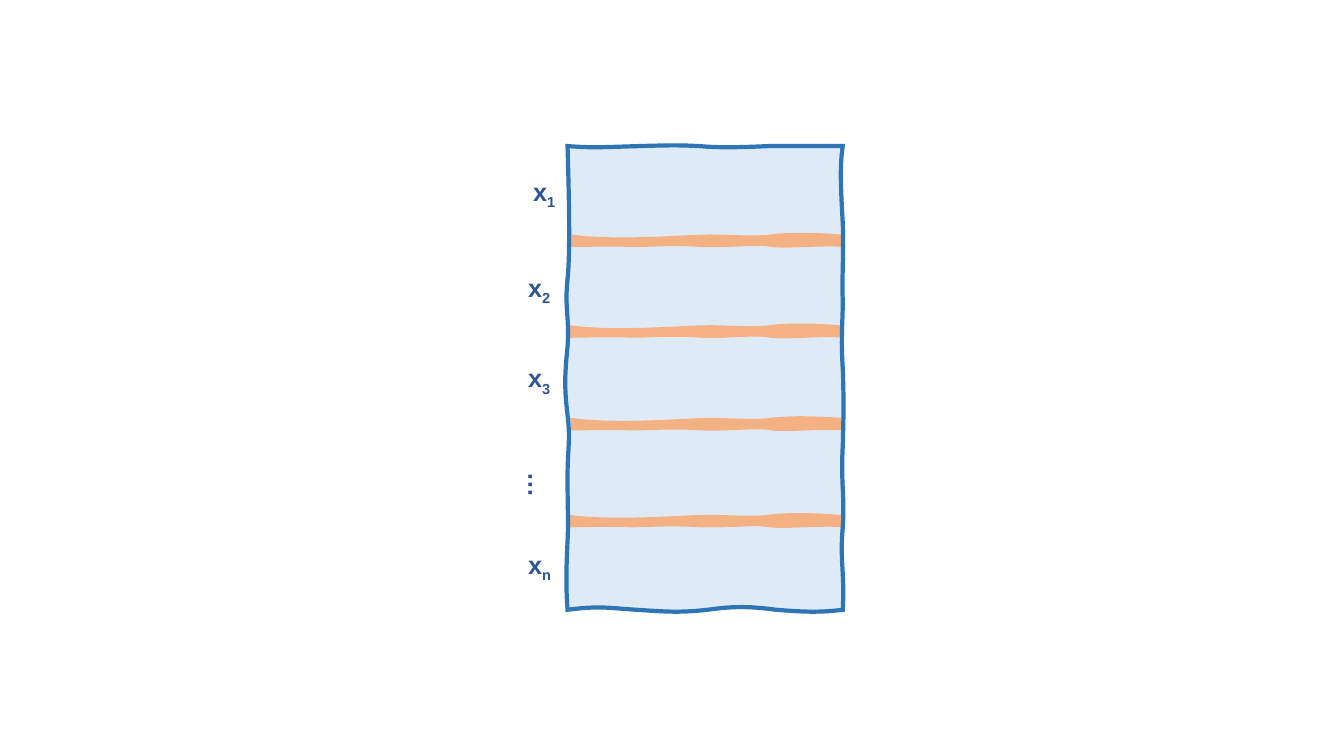
from lxml.etree import Element, SubElement
from pptx import Presentation
from pptx.dml.color import RGBColor
from pptx.enum.text import MSO_AUTO_SIZE as AutoSize
from pptx.oxml.ns import qn
from pptx.util import Pt

COLUMN_BOX = (405.4, 104.4)
COLUMN_START = (0, 0)
COLUMN_CURVES = [
    (18, 1.4, 26.6, 0.7, 51.1, 0),
    (74.9, -0.7, 79.2, -0.7, 94.3, 0),
    (108.7, 1.4, 128.2, 0.7, 143.3, 0),
    (157.7, 0, 175, 0, 196.6, 0),
    (194.4, 14.4, 195.1, 28.1, 196.6, 55.4),
    (197.3, 82.8, 195.8, 95, 196.6, 110.2),
    (196.6, 126, 195.1, 136.1, 196.6, 159.1),
    (197.3, 182.2, 197.3, 187.2, 196.6, 213.8),
    (195.1, 241.2, 198, 248.4, 196.6, 272.2),
    (194.4, 296.6, 198, 303.8, 196.6, 331.2),
    (179.3, 333.4, 166.3, 332.6, 149, 331.2),
    (131.8, 329, 120.2, 328.3, 100.1, 331.2),
    (79.9, 333.4, 70.6, 332.6, 49, 331.2),
    (27.4, 329.8, 23, 328.3, 0, 331.2),
    (-1.4, 312.5, -0.7, 298.1, 0, 282.2),
    (0.7, 267.1, 0, 259.2, 0, 236.9),
    (0, 215.3, 2.2, 210.2, 0, 192.2),
    (-2.2, 173.5, -2.2, 164.9, 0, 143.3),
    (1.4, 121.7, -2.2, 115.9, 0, 95),
    (2.2, 74.2, 0.7, 24.5, 0, 0),
]
BAND_START = (0, 5.8)
BAND_CURVES = [
    (8.6, 5.8, 28.8, 5, 42.5, 5.8),
    (56.2, 5.8, 71.3, 4.3, 92.9, 5.8),
    (113.8, 6.5, 131.8, 3.6, 142.6, 5.8),
    (153.4, 7.2, 181.4, 4.3, 193, 5.8),
    (193, 3.6, 192.2, 2.9, 193, 0),
    (177.1, -1.4, 154.8, -2.2, 140.4, 0),
    (126.7, 1.4, 104.4, -0.7, 92.9, 0),
    (81.4, 0, 31.7, 4.3, 0, 0),
    (0.7, 2.2, 0.7, 4.3, 0, 5.8),
]
BAND_BOXES = [(409, 169.2), (408.2, 234), (409, 300.2), (407.5, 369.4)]
LABELS = [
    ("x", "1", (373.7, 122.4, 70.6, 28.8), 0),
    ("x", "2", (370.1, 190.8, 70.6, 28.8), 0),
    ("x", "3", (370.1, 255.6, 70.6, 28.8), 0),
    ("…", "", (337.7, 312.5, 70.6, 28.8), 270),
    ("x", "n", (370.1, 388.8, 70.6, 28.8), 0),
]


def paint(color_format, color):
    color_format.rgb = RGBColor.from_string(color)


def bend_segments(shape):
    segments = list(shape._element.iter(qn("a:lnTo")))
    for first in range(0, len(segments), 3):
        curve = Element(qn("a:cubicBezTo"))
        segments[first].addprevious(curve)
        for segment in segments[first:first + 3]:
            curve.append(segment[0])
            segment.getparent().remove(segment)


def add_sketch(page, box, start, curves, fill=None, line=None):
    left, top = box
    builder = page.shapes.build_freeform(Pt(left + start[0]), Pt(top + start[1]))
    builder.add_line_segments([
        (Pt(left + x), Pt(top + y))
        for curve in curves
        for x, y in zip(curve[::2], curve[1::2])
    ])
    shape = builder.convert_to_shape()
    bend_segments(shape)
    shape.shadow.inherit = False
    if fill:
        shape.fill.solid()
        paint(shape.fill.fore_color, fill)
    else:
        shape.fill.background()
    if line:
        paint(shape.line.color, line)
        shape.line.width = Pt(3)
        SubElement(shape.line._get_or_add_ln(), qn("a:miter"), lim="800000")
    else:
        shape.line.fill.background()


def add_column(page, box):
    add_sketch(page, box, COLUMN_START, COLUMN_CURVES, fill="DEEBF7")
    for band_box in BAND_BOXES:
        add_sketch(page, band_box, BAND_START, BAND_CURVES, fill="F4B183", line="F4B183")
    add_sketch(page, box, COLUMN_START, COLUMN_CURVES, line="2E75B6")


def add_label(page, symbol, index, box, rotation):
    label = page.shapes.add_textbox(*map(Pt, box))
    label.rotation = rotation
    frame = label.text_frame
    frame.word_wrap = True
    frame.auto_size = AutoSize.SHAPE_TO_FIT_TEXT
    para = frame.paragraphs[0]
    para.font.name = "Arial"
    para.font.size = Pt(18)
    para.font.bold = True
    paint(para.font.color, "2F5597")
    para.add_run().text = symbol
    if index:
        span = para.add_run()
        span.text = index
        span._r.get_or_add_rPr().set("baseline", "-25000")


deck = Presentation()
deck.slide_width, deck.slide_height = Pt(960), Pt(540)
page = deck.slides.add_slide(deck.slide_layouts[6])
add_column(page, COLUMN_BOX)
for label in LABELS:
    add_label(page, *label)
deck.save("out.pptx")
